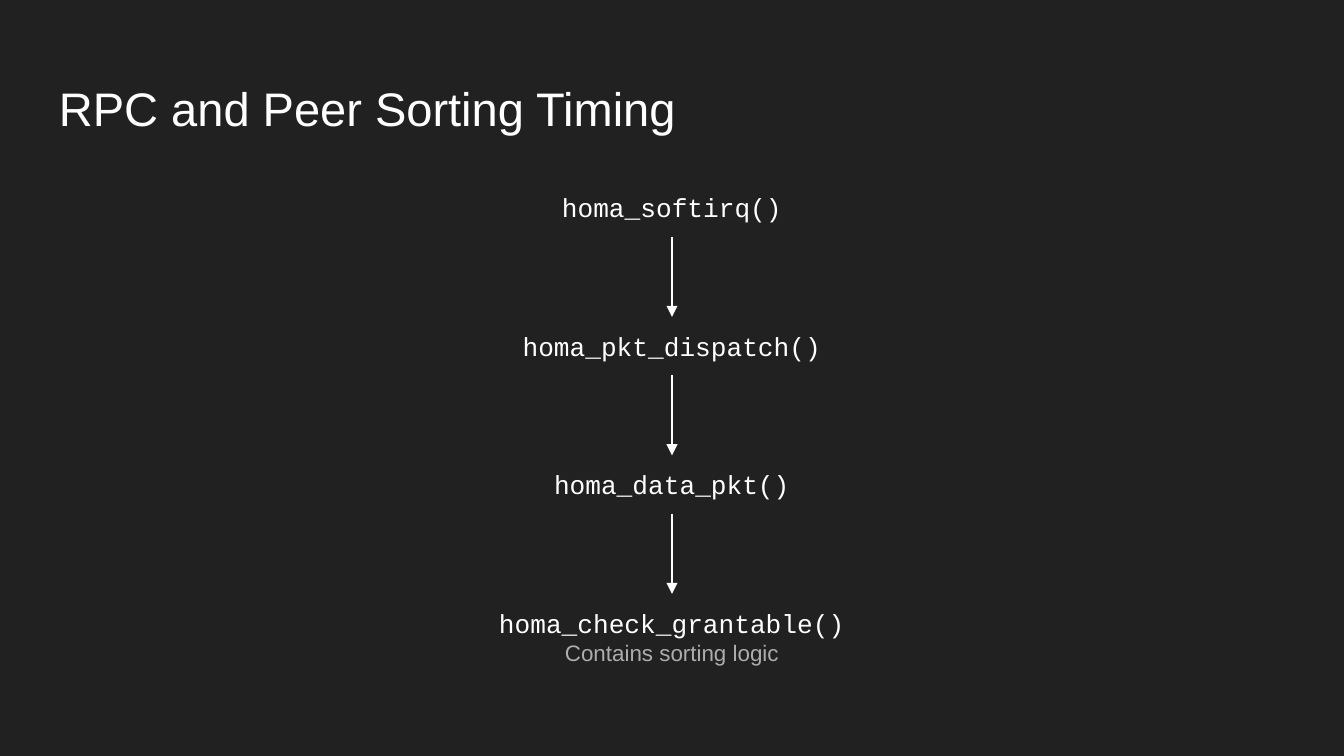
from itertools import pairwise
from lxml.etree import SubElement
from pptx import Presentation
from pptx.dml.color import RGBColor
from pptx.enum.shapes import MSO_CONNECTOR
from pptx.enum.text import MSO_ANCHOR, MSO_AUTO_SIZE, PP_ALIGN
from pptx.oxml.ns import qn
from pptx.util import Inches, Pt

WIDTH = 10
HEIGHT = WIDTH * 9 / 16
COLORS = {"back": "212121", "main": "FFFFFF", "note": "ADADAD"}
CODE, SANS = "Courier New", "Arial"
TOP, STEP = 23.6, 18.32
CALLS = [
    ("homa_softirq()", 18.5, None),
    ("homa_pkt_dispatch()", 24.7, None),
    ("homa_data_pkt()", 20.4, None),
    ("homa_check_grantable()", 28.6, "Contains sorting logic"),
]


def color(name):
    return RGBColor.from_string(COLORS[name])


def across(share):
    return Inches(WIDTH * share / 100)


def down(share):
    return Inches(HEIGHT * share / 100)


def add_text(slide, left, top, width, height, lines, align):
    box = slide.shapes.add_textbox(
        across(left), down(top), across(width), down(height)
    )
    frame = box.text_frame
    frame.word_wrap = True
    frame.margin_left = frame.margin_right = Inches(0.1)
    frame.margin_top = frame.margin_bottom = Inches(0.1)
    frame.text = "\n".join(line[0] for line in lines)
    for para, (_, face, size, tone) in zip(frame.paragraphs, lines):
        para.alignment = align
        para.font.name = face
        para.font.size = Pt(size)
        para.font.color.rgb = color(tone)
    return box


def add_title(slide, text):
    lines = [(text, SANS, 25.2, "main")]
    box = add_text(slide, 3.4, 8.65, 93.2, 11.2, lines, PP_ALIGN.LEFT)
    box.text_frame.vertical_anchor = MSO_ANCHOR.MIDDLE


def add_call(slide, row, name, width, note):
    lines = [(name, CODE, 14, "main")]
    if note:
        lines.append((note, SANS, 12, "note"))
    height = 11.38 if note else 7.73
    box = add_text(
        slide, 50 - width / 2, TOP + row * STEP, width, height,
        lines, PP_ALIGN.CENTER,
    )
    box.text_frame.auto_size = MSO_AUTO_SIZE.SHAPE_TO_FIT_TEXT
    return box


def add_arrow(slide, start, end):
    arrow = slide.shapes.add_connector(MSO_CONNECTOR.STRAIGHT, 0, 0, 0, 0)
    arrow.begin_connect(start, 2)
    arrow.end_connect(end, 0)
    arrow.line.color.rgb = color("main")
    arrow.line.width = Pt(0.75)
    props = arrow._element.spPr
    SubElement(props.find(qn("a:ln")), qn("a:tailEnd"), type="triangle")
    SubElement(props, qn("a:effectLst"))


def main():
    deck = Presentation()
    deck.slide_width, deck.slide_height = Inches(WIDTH), Inches(HEIGHT)
    slide = deck.slides.add_slide(deck.slide_layouts[6])
    slide.background.fill.solid()
    slide.background.fill.fore_color.rgb = color("back")
    boxes = [add_call(slide, row, *call) for row, call in enumerate(CALLS)]
    for start, end in pairwise(boxes):
        add_arrow(slide, start, end)
    add_title(slide, "RPC and Peer Sorting Timing")
    deck.save("out.pptx")


if __name__ == "__main__":
    main()
